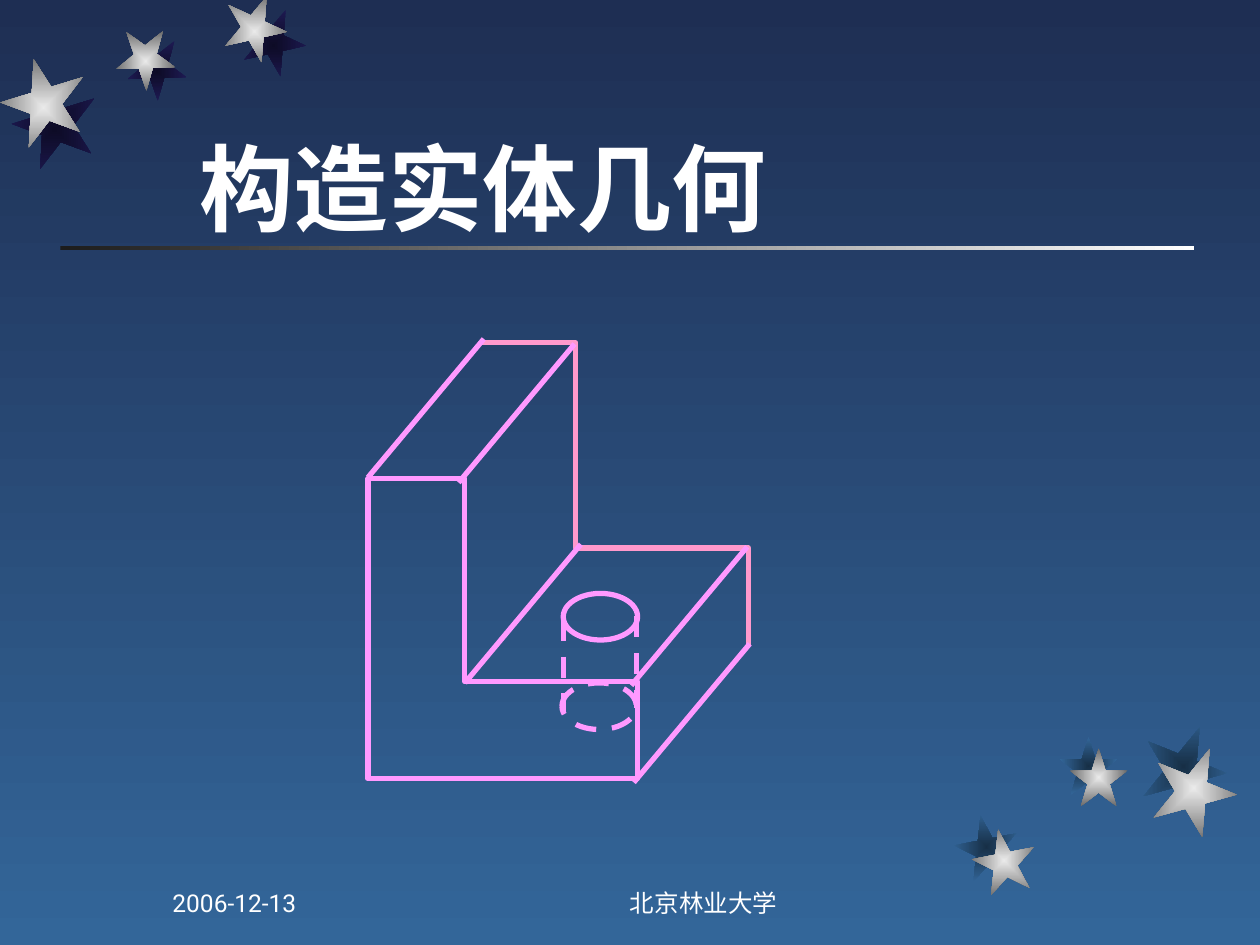
from lxml.etree import SubElement as Sub
from pptx import Presentation
from pptx.dml.color import RGBColor as RGB
from pptx.enum.dml import MSO_LINE as Dash
from pptx.enum.shapes import MSO_CONNECTOR as Conn, MSO_SHAPE as Kind
from pptx.enum.text import MSO_ANCHOR as Anchor, MSO_AUTO_SIZE as Fit, PP_ALIGN as Align
from pptx.oxml.ns import qn
from pptx.util import Inches, Pt

WHITE = RGB(0xFF, 0xFF, 0xFF)
BLACK = RGB(0x1C, 0x1C, 0x1C)
NAVY = RGB(0x1E, 0x2E, 0x53)
BLUE = RGB(0x33, 0x66, 0x99)
INK = RGB(0x0D, 0x0B, 0x26)
PLUM = RGB(0x1E, 0x1A, 0x53)
TEAL = RGB(0x17, 0x2F, 0x46)
SILVER = RGB(0xEA, 0xEA, 0xEA)
GREY = RGB(0x6B, 0x6B, 0x6B)
PINK = RGB(0xFF, 0x99, 0xFF)
ROSE = RGB(0xFF, 0x99, 0xCC)

COLS, ROWS = 100, 75  # grid over the whole slide


class Deck:
    font = "Roboto"
    width = Pt(3)

    def __init__(self):
        self.prs = Presentation()
        self.prs.slide_width, self.prs.slide_height = Inches(10), Inches(7.5)
        self.slide = self.prs.slides.add_slide(self.prs.slide_layouts[5])
        self.shapes = self.slide.shapes

    def spot(self, col, row):
        return (round(self.prs.slide_width * col / COLS),
                round(self.prs.slide_height * row / ROWS))

    def box(self, col, row, wide, high):
        return *self.spot(col, row), *self.spot(wide, high)

    def blend(self, fill, first, last, angle):
        fill.gradient()
        fill.gradient_angle = angle
        for stop, color in zip(fill.gradient_stops, (first, last)):
            stop.color.rgb = color

    def back(self, first, last):
        self.blend(self.slide.background.fill, first, last, 270)

    def bar(self, area, first, last):
        bar = self.shapes.add_shape(Kind.RECTANGLE, *self.box(*area))
        bar.shadow.inherit = False
        bar.line.fill.background()
        self.blend(bar.fill, first, last, 0)

    def star(self, col, row, size, turn, core, rim):
        star = self.shapes.add_shape(Kind.STAR_5_POINT, *self.box(col, row, size, size))
        star.rotation = turn
        star.shadow.inherit = False
        star.line.fill.background()
        self.blend(star.fill, core, rim, 0)
        # Spread the blend from the centre outwards
        grad = star._element.spPr.find(qn("a:gradFill"))
        grad.remove(grad.find(qn("a:lin")))
        ring = Sub(grad, qn("a:path"), {"path": "rect"})
        Sub(ring, qn("a:fillToRect"), dict.fromkeys("ltrb", "50000"))

    def stroke(self, line, color, dash=None):
        line.color.rgb = color
        line.width = self.width
        if dash:
            line.dash_style = dash

    def outline(self, points, color, close):
        first, *rest = [self.spot(*p) for p in points]
        pen = self.shapes.build_freeform(*first, scale=1.0)
        pen.add_line_segments(rest, close=close)
        form = pen.convert_to_shape()
        form.shadow.inherit = False
        form.fill.background()
        self.stroke(form.line, color)

    def edge(self, start, end, color, dash=None, home=None):
        edge = (home or self.shapes).add_connector(
            Conn.STRAIGHT, *self.spot(*start), *self.spot(*end))
        Sub(edge._element.spPr, qn("a:effectLst"))
        self.stroke(edge.line, color, dash)

    def oval(self, area, color, dash=None, home=None):
        oval = (home or self.shapes).add_shape(Kind.OVAL, *self.box(*area))
        oval.shadow.inherit = False
        oval.fill.background()
        self.stroke(oval.line, color, dash)

    def label(self, shape, text, size, align, bold=False):
        frame = shape.text_frame
        frame.text = text
        frame.word_wrap = True
        frame.auto_size = Fit.NONE
        frame.vertical_anchor = Anchor.BOTTOM
        para = frame.paragraphs[0]
        para.alignment = align
        run = para.runs[0]
        run.font.size, run.font.bold, run.font.name = Pt(size), bold, self.font
        run.font.color.rgb = WHITE
        Sub(run.font._element, qn("a:ea"), {"typeface": self.font})

    def title(self, area, text):
        head = self.shapes.title
        head.left, head.top, head.width, head.height = self.box(*area)
        self.label(head, text, 54, Align.LEFT, True)

    def note(self, area, text, align):
        self.label(self.shapes.add_textbox(*self.box(*area)), text, 14, align)


def main():
    deck = Deck()
    deck.back(NAVY, BLUE)
    deck.bar((4.8, 19.5, 90, 0.35), BLACK, WHITE)

    # Stars: size, turn, place of the shade, place of the star
    top = [(5, 167.3, (19.2, 1.1), (17.7, 0)),
           (4.7, 178.3, (10.1, 3.3), (9.2, 2.5)),
           (6.7, 200.3, (1, 6.9), (0.1, 5.2))]
    low = [(5, 349, (75.8, 64.7), (77.2, 65.8)),
           (4.6, 0, (84.1, 58.5), (84.9, 59.4)),
           (6.7, 22, (90.6, 57.5), (91.4, 59.2))]
    for group, core, rim in ((top, INK, PLUM), (low, TEAL, BLUE)):
        for size, turn, shade, _ in group:
            deck.star(*shade, size, turn, core, rim)
        for size, turn, _, place in group:
            deck.star(*place, size, turn, SILVER, GREY)

    deck.title((14.8, 3.8, 75, 16), "构造实体几何")

    # L-shaped solid: front face, back outline, receding edges
    deck.outline([(29.2, 61.8), (50.6, 61.8), (50.6, 54.1), (36.9, 54.1),
                  (36.9, 38), (29.2, 38)], PINK, True)
    deck.outline([(38.2, 27.2), (45.7, 27.2), (45.7, 43.5), (59.4, 43.5),
                  (59.4, 51.2)], ROSE, False)
    for col, row in ((38.4, 26.9), (45.6, 27.3), (46.1, 43.2), (59.3, 43.4), (59.5, 51.1)):
        deck.edge((col, row), (col - 9.2, row + 11), PINK)

    # Hole through the base
    hole = deck.shapes.add_group_shape().shapes
    deck.oval((44.7, 47.1, 5.9, 3.7), PINK, home=hole)
    deck.oval((44.6, 54.2, 5.9, 3.7), PINK, Dash.DASH, hole)
    for col, row in ((44.7, 49.2), (50.5, 48.9)):
        deck.edge((col, row), (col, row + 7.3), PINK, Dash.DASH, hole)

    # Footer
    deck.note((40, 68.3, 31.7, 5), "北京林业大学", Align.CENTER)
    deck.note((12.7, 68.3, 20.8, 5), "2006-12-13", Align.LEFT)
    deck.prs.save("out.pptx")


if __name__ == "__main__":
    main()
